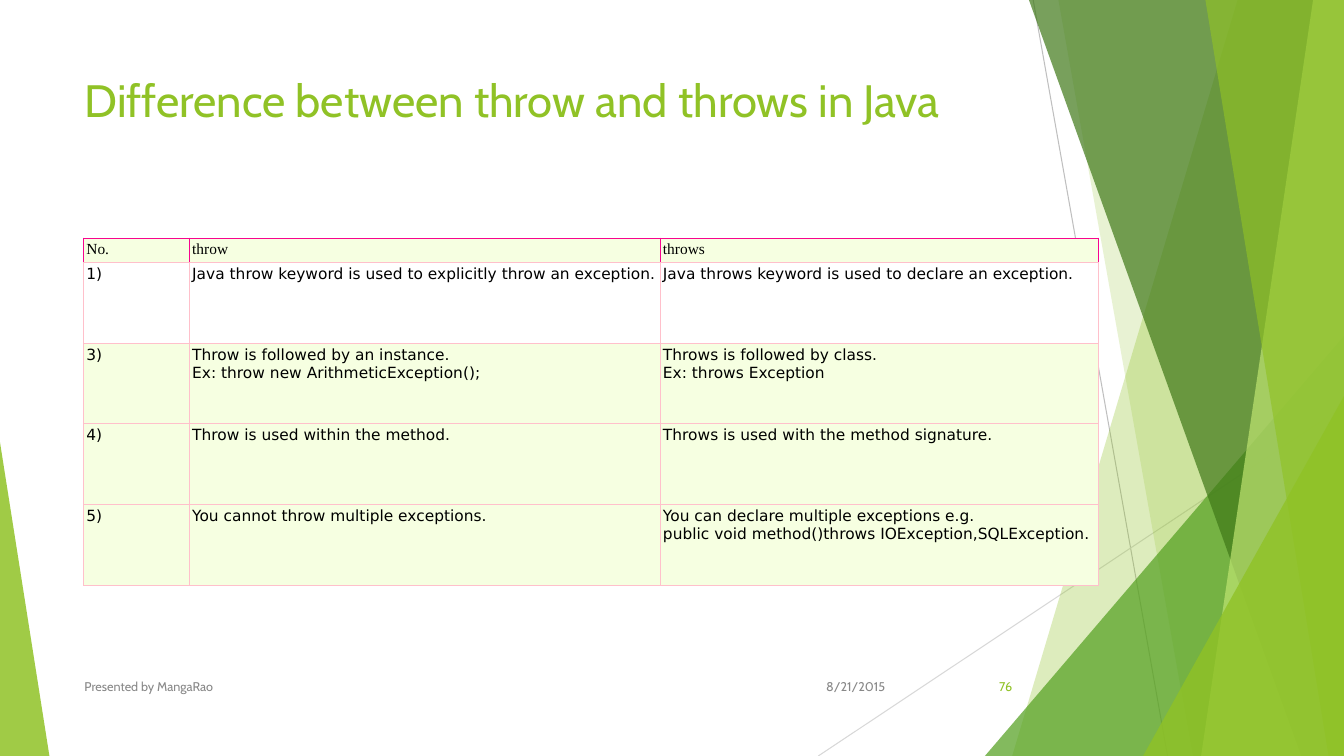
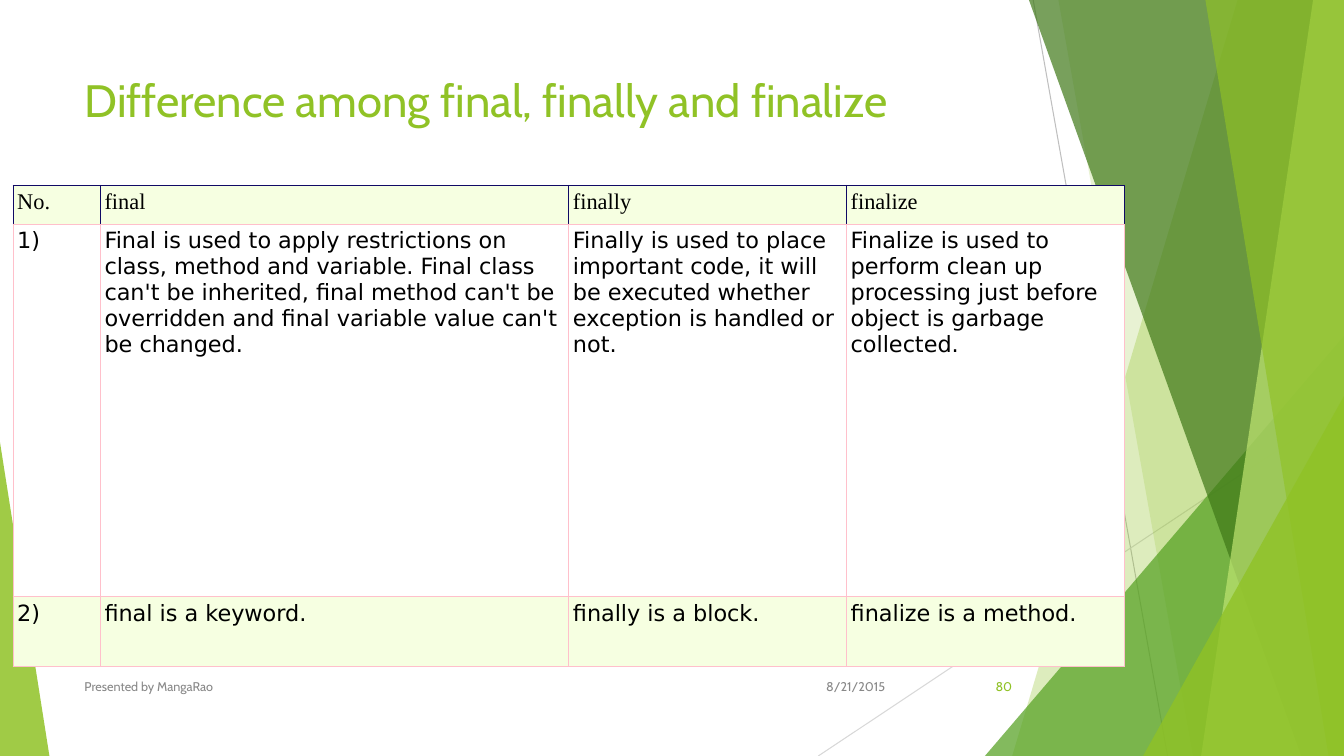
from lxml.etree import SubElement
from pptx import Presentation
from pptx.dml.color import RGBColor
from pptx.enum.shapes import MSO_CONNECTOR, MSO_SHAPE
from pptx.enum.text import MSO_ANCHOR, PP_ALIGN
from pptx.oxml.ns import qn
from pptx.util import Pt

WIDTH, HEIGHT = 960, 540
COLORS = {
    "lime": "90C226",
    "green": "54A021",
    "forest": "3F7818",
    "pale lime": "BFE471",
    "silver": "BFBFBF",
    "light silver": "D8D8D8",
    "footer": "888888",
    "text": "000000",
    "white": "FFFFFF",
    "tint": "F6FFE1",
    "pink": "FFC0CB",
    "magenta": "F8058E",
    "navy": "100965",
}

RAYS = [
    ((738, 0), (834, HEIGHT), "silver"),
    ((WIDTH, 290), (584.5, HEIGHT), "light silver"),
]
# Bands give (top x, bottom x); triangles give (left, top, width, apex).
FACETS = [
    ((884, 723), "lime", 30),
    ((756, 852), "lime", 20),
    ((703.5, 240, 256.5, 1), "green", 72),
    ((735, 929.5), "forest", 70),
    ((938, 858), "pale lime", 70),
    ((861, 949), "lime", 65),
    ((816.5, 283, 143.5, 1), "lime", 80),
    ((0, 316, 35.3, 0), "lime", 85),
]

FOOTER_TOP, FOOTER_HEIGHT = 476, 29
PAGES = [
    {
        "title": "Difference between throw and throws in Java",
        "number": "76",
        "origin": (59.6, 170),
        "columns": [75.6, 336.3, 313.2],
        "rows": [17.3] + [57.6] * 4,
        "size": 11,
        "inset": 2.1,
        "header edge": "magenta",
        "cells": [
            ["No.", "throw", "throws"],
            ["1)", "Java throw keyword is used to explicitly throw an exception.",
             "Java throws keyword is used to declare an exception."],
            ["3)", "Throw is followed by an instance.\nEx: throw new ArithmeticException();",
             "Throws is followed by class.\nEx: throws Exception"],
            ["4)", "Throw is used within the method.",
             "Throws is used with the method signature."],
            ["5)", "You cannot throw multiple exceptions.",
             "You can declare multiple exceptions e.g.\v"
             "public void method()throws IOException,SQLException."],
        ],
    },
    {
        "title": "Difference among final, finally and finalize",
        "number": "80",
        "origin": (9.4, 132.3),
        "columns": [62.4, 334.6, 198.4, 198.4],
        "rows": [27.7, 266.2, 49.7],
        "size": 16,
        "inset": 2.9,
        "header edge": "navy",
        "cells": [
            ["No.", "final", "finally", "finalize"],
            ["1)", "Final is used to apply restrictions on class, method and variable. "
             "Final class can't be inherited, final method can't be overridden "
             "and final variable value can't be changed.",
             "Finally is used to place important code, it will be executed "
             "whether exception is handled or not.",
             "Finalize is used to perform clean up processing just before "
             "object is garbage collected."],
            ["2)", "final is a keyword.", "finally is a block.", "finalize is a method."],
        ],
    },
]


def write(frame, text, size, font, color, align=PP_ALIGN.LEFT):
    frame.word_wrap = True
    for index, block in enumerate(text.split("\n")):
        paragraph = frame.add_paragraph() if index else frame.paragraphs[0]
        paragraph.alignment = align
        for part, line in enumerate(block.split("\v")):
            if part:
                paragraph.add_line_break()
            run = paragraph.add_run()
            run.text = line
            run.font.size = Pt(size)
            run.font.name = font
            run.font.color.rgb = RGBColor.from_string(COLORS[color])


def add_solid(parent, color):
    fill = SubElement(parent, qn("a:solidFill"))
    return SubElement(fill, qn("a:srgbClr"), val=COLORS[color])


deck = Presentation()
deck.slide_width, deck.slide_height = Pt(WIDTH), Pt(HEIGHT)

for page in PAGES:
    slide = deck.slides.add_slide(deck.slide_layouts[6])
    shapes = slide.shapes

    for start, end, color in RAYS:
        ray = shapes.add_connector(MSO_CONNECTOR.STRAIGHT, *map(Pt, start + end))
        ray.line.color.rgb = RGBColor.from_string(COLORS[color])
        ray.line.width = Pt(0.75)
        SubElement(ray._element.spPr, qn("a:effectLst"))

    for outline, color, opacity in FACETS:
        if len(outline) == 2:
            top_x, bottom_x = outline
            builder = shapes.build_freeform(Pt(top_x), 0)
            corners = [(WIDTH, 0), (WIDTH, HEIGHT), (bottom_x, HEIGHT)]
            builder.add_line_segments([(Pt(x), Pt(y)) for x, y in corners])
            facet = builder.convert_to_shape()
        else:
            left, top, width, apex = outline
            facet = shapes.add_shape(MSO_SHAPE.ISOSCELES_TRIANGLE, Pt(left), Pt(top),
                                     Pt(width), Pt(HEIGHT - top))
            facet.adjustments[0] = apex
        facet.shadow.inherit = False
        facet.line.fill.background()
        facet.fill.solid()
        facet.fill.fore_color.rgb = RGBColor.from_string(COLORS[color])
        tone = facet._element.spPr.find(qn("a:solidFill")).find(qn("a:srgbClr"))
        SubElement(tone, qn("a:alpha"), val=str(opacity * 1000))

    heading = shapes.add_textbox(Pt(53.3), Pt(48), Pt(677), Pt(104))
    write(heading.text_frame, page["title"], 32.4, "Cabin", "lime")

    grid = shapes.add_table(len(page["rows"]), len(page["columns"]),
                            *map(Pt, page["origin"]),
                            Pt(sum(page["columns"])), Pt(sum(page["rows"]))).table
    grid.first_row = grid.horz_banding = False
    for column, width in zip(grid.columns, page["columns"]):
        column.width = Pt(width)
    for row, height in zip(grid.rows, page["rows"]):
        row.height = Pt(height)

    for row_index, texts in enumerate(page["cells"]):
        header = row_index == 0
        for column_index, text in enumerate(texts):
            cell = grid.cell(row_index, column_index)
            cell.margin_left = cell.margin_right = Pt(page["inset"])
            cell.margin_top = cell.margin_bottom = Pt(page["inset"])
            for side in ("lnL", "lnR", "lnT", "lnB"):
                edge = SubElement(cell._tc.get_or_add_tcPr(), qn(f"a:{side}"), w=str(Pt(0.75)))
                add_solid(edge, page["header edge"] if header and side != "lnB" else "pink")
            cell.fill.solid()
            background = "white" if row_index == 1 else "tint"
            cell.fill.fore_color.rgb = RGBColor.from_string(COLORS[background])
            font = "Times New Roman" if header else "DejaVu Sans"
            write(cell.text_frame, text, page["size"], font, "text")

    for left, width, text, color, align in [
        (567.4, 72, "8/21/2015", "footer", PP_ALIGN.RIGHT),
        (53.3, 496, "Presented by MangaRao", "footer", PP_ALIGN.LEFT),
        (676.3, 53.8, page["number"], "lime", PP_ALIGN.RIGHT),
    ]:
        footer = shapes.add_textbox(Pt(left), Pt(FOOTER_TOP), Pt(width), Pt(FOOTER_HEIGHT))
        footer.text_frame.vertical_anchor = MSO_ANCHOR.MIDDLE
        write(footer.text_frame, text, 9, "Cabin", color, align)

deck.save("out.pptx")
